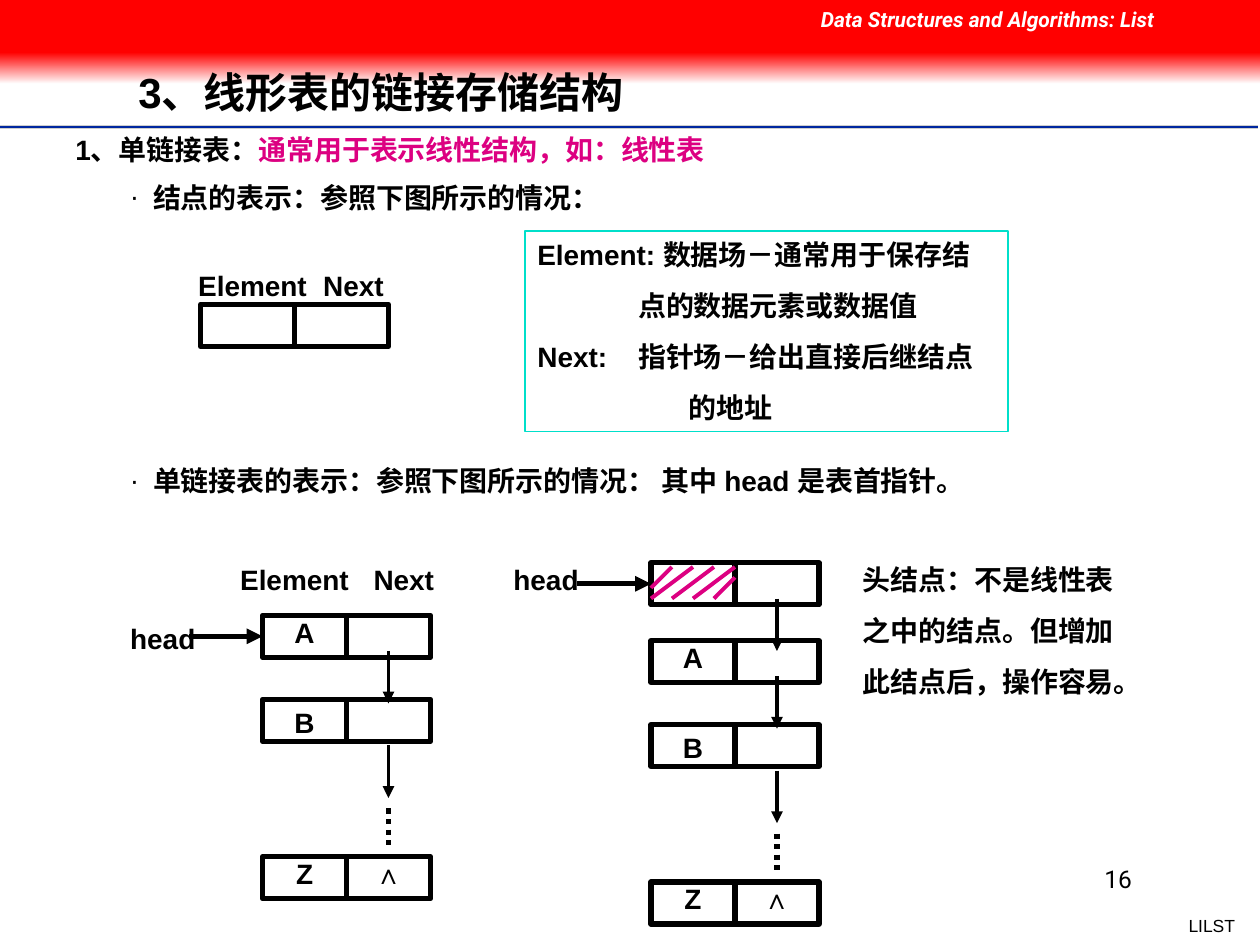
import pptx
import pptx.util
import pptx.dml.color
import pptx.enum.dml
import pptx.enum.shapes
import pptx.enum.text
import pptx.oxml.ns
import lxml.etree

EMU_PER_PX = 914400 // 120
COLORS = {
    "black": "000000", "white": "FFFFFF", "red": "FF0000", "magenta": "DC0081",
    "blue": "00279F", "grey": "CECECE", "teal": "00DFCA",
}
ALIGN = pptx.enum.text.PP_ALIGN
ANCHOR = pptx.enum.text.MSO_ANCHOR
TOP, LEFT, BOTTOM = 0, 1, 2


def px(value):
    return pptx.util.Emu(value * EMU_PER_PX)


def rgb(name):
    return pptx.dml.color.RGBColor.from_string(COLORS[name])


def add_xml(parent, tag, **attributes):
    return lxml.etree.SubElement(parent, pptx.oxml.ns.qn(tag), attributes)


class SlideBuilder:
    font = "Arial"
    size = 16
    space_before = 10

    def __init__(self, presentation):
        self.slide = presentation.slides.add_slide(presentation.slide_layouts[6])

    def rectangle(self, left, top, width, height, fill=None, line=None, weight=3):
        shape = self.slide.shapes.add_shape(
            pptx.enum.shapes.MSO_SHAPE.RECTANGLE, px(left), px(top), px(width), px(height))
        shape.shadow.inherit = False
        if fill:
            shape.fill.solid()
            shape.fill.fore_color.rgb = rgb(fill)
        else:
            shape.fill.background()
        if line:
            shape.line.color.rgb = rgb(line)
            shape.line.width = pptx.util.Pt(weight)
        else:
            shape.line.fill.background()
        return shape

    def gradient(self, left, top, width, height, start, end):
        fill = self.rectangle(left, top, width, height).fill
        fill.gradient()
        fill.gradient_angle = 270
        for stop, color in zip(fill.gradient_stops, (start, end)):
            stop.color.rgb = rgb(color)

    def line(self, x1, y1, x2, y2, color="black", weight=3, arrow=False, dotted=False):
        connector = self.slide.shapes.add_connector(
            pptx.enum.shapes.MSO_CONNECTOR.STRAIGHT, px(x1), px(y1), px(x2), px(y2))
        connector.line.color.rgb = rgb(color)
        connector.line.width = pptx.util.Pt(weight)
        if dotted:
            connector.line.dash_style = pptx.enum.dml.MSO_LINE.ROUND_DOT
        properties = connector._element.spPr
        if arrow:
            add_xml(properties.get_or_add_ln(), "a:tailEnd", type="triangle")
        add_xml(properties, "a:effectLst")
        return connector

    def format_run(self, run, size=None, color="black", font=None, bold=True, italic=False):
        run.font.name = font or self.font
        run.font.size = pptx.util.Pt(size or self.size)
        run.font.bold = bold
        run.font.italic = italic
        run.font.color.rgb = rgb(color)

    def set_text(self, shape, lines, align=ALIGN.LEFT, anchor=ANCHOR.TOP, wrap=True, **style):
        frame = shape.text_frame
        frame.word_wrap = wrap
        frame.vertical_anchor = anchor
        frame.text = "\n".join(lines)
        for index, paragraph in enumerate(frame.paragraphs):
            paragraph.alignment = align
            if index:
                paragraph.space_before = pptx.util.Pt(self.space_before)
            for run in paragraph.runs:
                self.format_run(run, **style)
        return frame.paragraphs

    def text(self, left, top, width, height, *lines, **style):
        shape = self.slide.shapes.add_textbox(px(left), px(top), px(width), px(height))
        return self.set_text(shape, lines, **style)

    def indent(self, paragraph, left, hanging=0, bullet=None):
        properties = paragraph._p.get_or_add_pPr()
        properties.set("marL", str(px(left)))
        properties.set("indent", str(-px(hanging)))
        if bullet:
            add_xml(properties, "a:buFont", typeface=self.font)
            add_xml(properties, "a:buChar", char=bullet)

    def tab(self, paragraph, position):
        stops = add_xml(paragraph._p.get_or_add_pPr(), "a:tabLst")
        add_xml(stops, "a:tab", pos=str(px(position)), algn="l")

    def bullet_line(self, top, line):
        self.indent(self.text(0, top, 1150, 44, line)[0], 134, 22, "·")

    def field_names(self, left, top, next_offset):
        self.tab(self.text(left, top, 230, 44, "Element\tNext")[0], next_offset)

    def node(self, left, top, width=160, height=40):
        """A record of two fields: element and next."""
        record = self.rectangle(left, top, width, height, "white", "black")
        middle = left + width // 2
        divider = self.line(middle, top, middle, top + height)
        divider.begin_connect(record, TOP)
        divider.end_connect(record, BOTTOM)
        return record

    def link(self, left, top):
        """The pointer that leaves the next field of a node."""
        self.line(left + 120, top, left + 120, top + 50, weight=2.25, arrow=True)

    def linked_list(self, left, top):
        """Nodes A and B, the dots, and the last node Z; returns node A."""
        first = self.node(left, top)
        for offset in (80, 230):
            self.node(left, top + offset)
        for offset in (34, 124):
            self.link(left, top + offset)
        self.line(left + 120, top + 184, left + 120, top + 224, dotted=True)
        for name, offset in (("A", -6), ("B", 80), ("Z", 224)):
            self.text(left, top + offset, 80, 44, name, align=ALIGN.CENTER)
        self.text(left + 90, top + 224, 60, 44, "∧", align=ALIGN.CENTER)
        return first

    def head_pointer(self, left, top, width, arrow_start, record):
        self.text(left, top, width, 44, "head", align=ALIGN.CENTER)
        pointer = self.line(arrow_start, top + 20, arrow_start + 70, top + 20, arrow=True)
        pointer.end_connect(record, LEFT)
        # Keep the pointer level with the side it joins
        pointer.begin_y = pointer.end_y


def main():
    presentation = pptx.Presentation()
    presentation.slide_width, presentation.slide_height = px(1200), px(900)
    builder = SlideBuilder(presentation)

    # Rule, banner and footer
    for y, color, weight in ((121, "grey", 2), (121, "blue", 1), (124, "white", 1)):
        builder.line(0, y, 1198, y, color, weight)
    builder.gradient(0, 50, 1200, 30, "red", "white")
    builder.rectangle(0, 0, 1200, 50, "red")
    builder.text(770, 0, 430, 36, "Data Structures and Algorithms: List",
                 size=12, color="white", font="Roboto", italic=True)
    builder.text(860, 817, 230, 60, "16", size=14, font="Roboto", bold=False, align=ALIGN.RIGHT)
    builder.text(1120, 866, 68, 32, "LILST", size=10, bold=False, align=ALIGN.RIGHT, wrap=False)

    # Title and headings
    title = builder.text(120, 40, 1000, 100, "3、线形表的链接存储结构", size=24, anchor=ANCHOR.MIDDLE)
    title[0].line_spacing = 0.9
    heading = builder.text(0, 120, 1150, 44, "1、单链接表：")[0]
    builder.indent(heading, 60)
    usage = heading.add_run()
    usage.text = "通常用于表示线性结构，如：线性表"
    builder.format_run(usage, color="magenta")
    builder.bullet_line(166, "结点的表示：参照下图所示的情况：")
    builder.bullet_line(436, "单链接表的表示：参照下图所示的情况： 其中 head 是表首指针。")

    # Single node and the meaning of its fields
    builder.node(191, 290, 179)
    builder.field_names(177, 250, 119)
    definition = builder.rectangle(500, 220, 460, 191, line="teal", weight=0.75)
    lines = builder.set_text(definition, [
        "Element: 数据场－通常用于保存结", "点的数据元素或数据值",
        "Next:\t指针场－给出直接后继结点", "的地址"])
    builder.indent(lines[1], 96)
    builder.tab(lines[2], 96)
    builder.indent(lines[3], 144)

    # List without a header node
    builder.field_names(217, 530, 127)
    first = builder.linked_list(250, 586)
    builder.head_pointer(110, 586, 90, 180, first)

    # List with a hatched header node
    builder.linked_list(620, 610)
    header = builder.node(620, 536)
    builder.link(620, 570)
    for x1, y1, x2, y2 in ((640, 540, 620, 560), (660, 540, 620, 570), (680, 540, 640, 570),
                           (700, 540, 660, 570), (700, 550, 680, 570)):
        builder.line(x1, y1, x2, y2, "magenta", 2.25)
    builder.head_pointer(470, 530, 100, 550, header)
    builder.text(810, 530, 300, 191, "头结点：不是线性表", "之中的结点。但增加", "此结点后，操作容易。")

    presentation.save("out.pptx")


if __name__ == "__main__":
    main()
